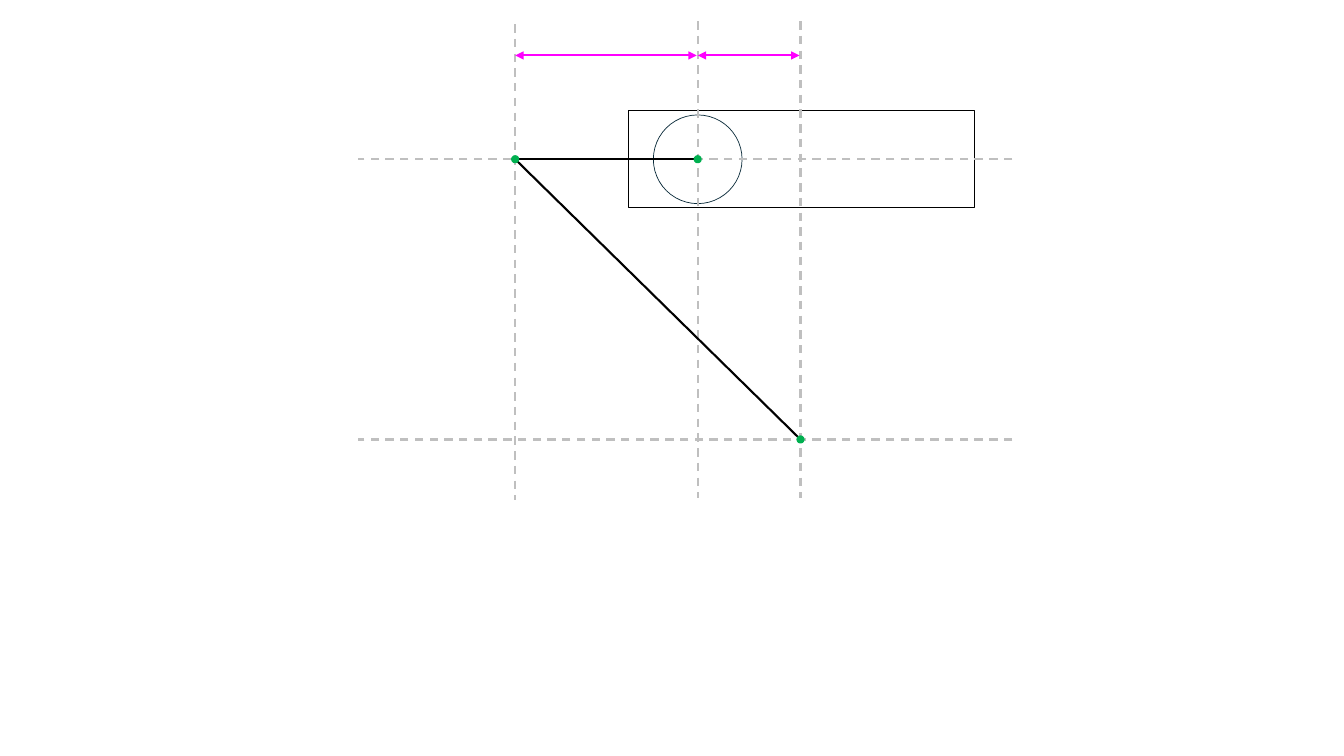
"""Draw a linkage diagram with dashed guides, links, joints and span arrows."""
from pptx import Presentation
from pptx.dml.color import RGBColor
from pptx.enum.dml import MSO_LINE
from pptx.enum.shapes import MSO_CONNECTOR, MSO_SHAPE
from pptx.oxml.ns import qn
from pptx.util import Inches, Pt
from lxml import etree

STRAIGHT = MSO_CONNECTOR.STRAIGHT
DASH = MSO_LINE.DASH
RECT, OVAL = MSO_SHAPE.RECTANGLE, MSO_SHAPE.OVAL

HUES = {"guide": "BFBFBF", "link": "000000", "ring": "092A39",
        "span": "FF00FF", "joint": "00B050"}
SIZE = (13.33, 7.5)
COLS = {"left": 5.11, "mid": 6.92, "right": 7.94}
ROWS = {"span": 0.55, "top": 1.58, "low": 4.36}
EDGE = (3.55, 10.04)
TALL = {"left": (0.24, 4.96), "mid": (0.21, 4.94), "right": (0.21, 4.94)}
BAR = (7.945, 3.43, 0.96)
RING = 0.88
DOT = 0.06
GAP = 0.01
SPANS = [("mid", "left"), ("right", "mid")]
JOINTS = [("mid", "top"), ("left", "top"), ("right", "low")]
LINKS = [(0, 1), (1, 2)]

deck = Presentation()
deck.slide_width, deck.slide_height = map(Inches, SIZE)
page = deck.slides.add_slide(deck.slide_layouts[6])


def color(hue):
    return RGBColor.from_string(HUES[hue])


def draw_line(start, end, hue, dash=False, heads=False):
    line = page.shapes.add_connector(STRAIGHT, *map(Inches, (*start, *end)))
    line.line.color.rgb = color(hue)
    line.line.width = Pt(1.5)
    if dash:
        line.line.dash_style = DASH
    if heads:
        pen = line.line._get_or_add_ln()
        for tag in ("a:headEnd", "a:tailEnd"):
            etree.SubElement(pen, qn(tag), type="triangle")
    etree.SubElement(line._element.spPr, qn("a:effectLst"))


def draw_shape(kind, mid, wide, high, hue, width, solid=False):
    x, y = mid
    box = (x - wide / 2, y - high / 2, wide, high)
    shape = page.shapes.add_shape(kind, *map(Inches, box))
    shape.shadow.inherit = False
    shape.line.color.rgb = color(hue)
    shape.line.width = Pt(width)
    if solid:
        shape.fill.solid()
        shape.fill.fore_color.rgb = color(hue)
    else:
        shape.fill.background()


def point(col, row):
    return COLS[col], ROWS[row]


def guide(row):
    y = ROWS[row]
    draw_line((EDGE[1], y), (EDGE[0], y), "guide", dash=True)


guide("low")
mid, wide, high = BAR
draw_shape(RECT, (mid, ROWS["top"]), wide, high, "link", 0.5)
draw_shape(OVAL, point("mid", "top"), RING, RING, "ring", 0.5)
guide("top")
for col, (top, end) in TALL.items():
    draw_line((COLS[col], top), (COLS[col], end), "guide", dash=True)

for start, end in SPANS:
    y = ROWS["span"]
    draw_line((COLS[start] - GAP, y), (COLS[end], y), "span", heads=True)

spots = [point(*joint) for joint in JOINTS]
for start, end in LINKS:
    draw_line(spots[start], spots[end], "link")
for spot in spots:
    draw_shape(OVAL, spot, DOT, DOT, "joint", 1.5, solid=True)

deck.save("out.pptx")
